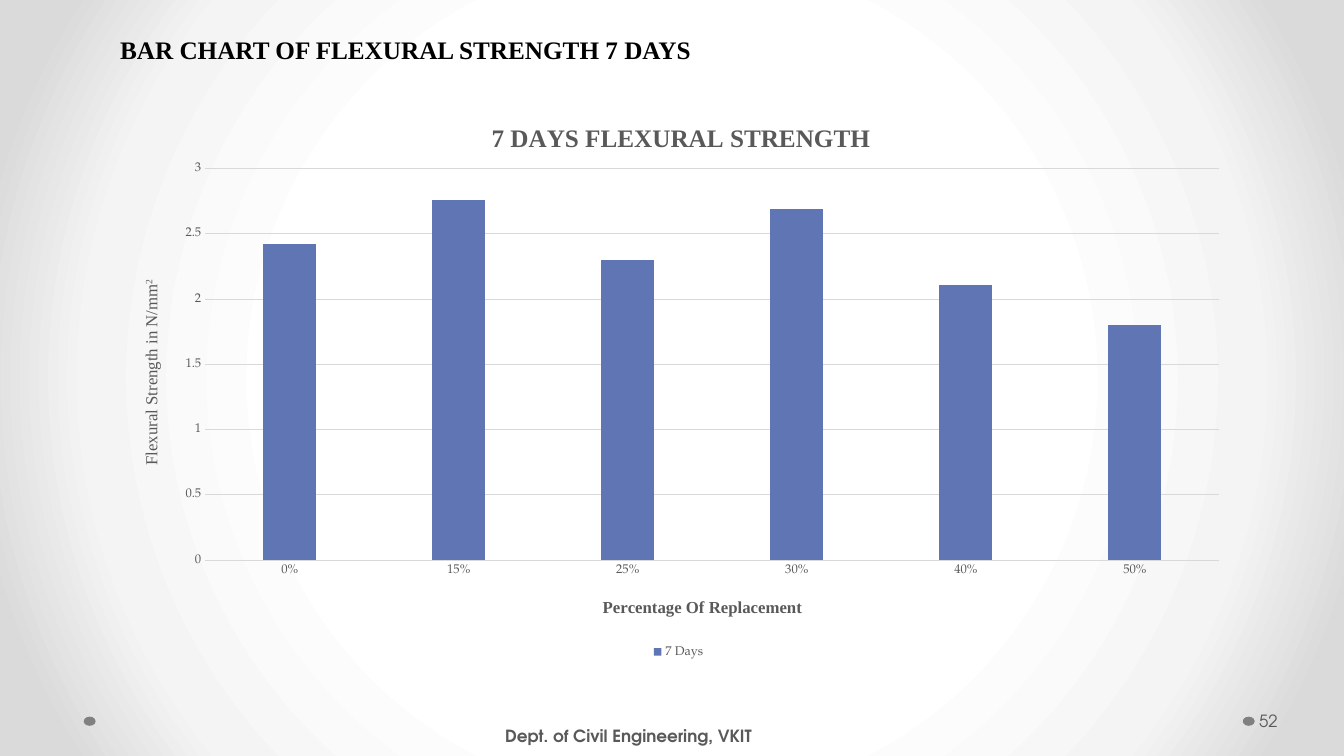
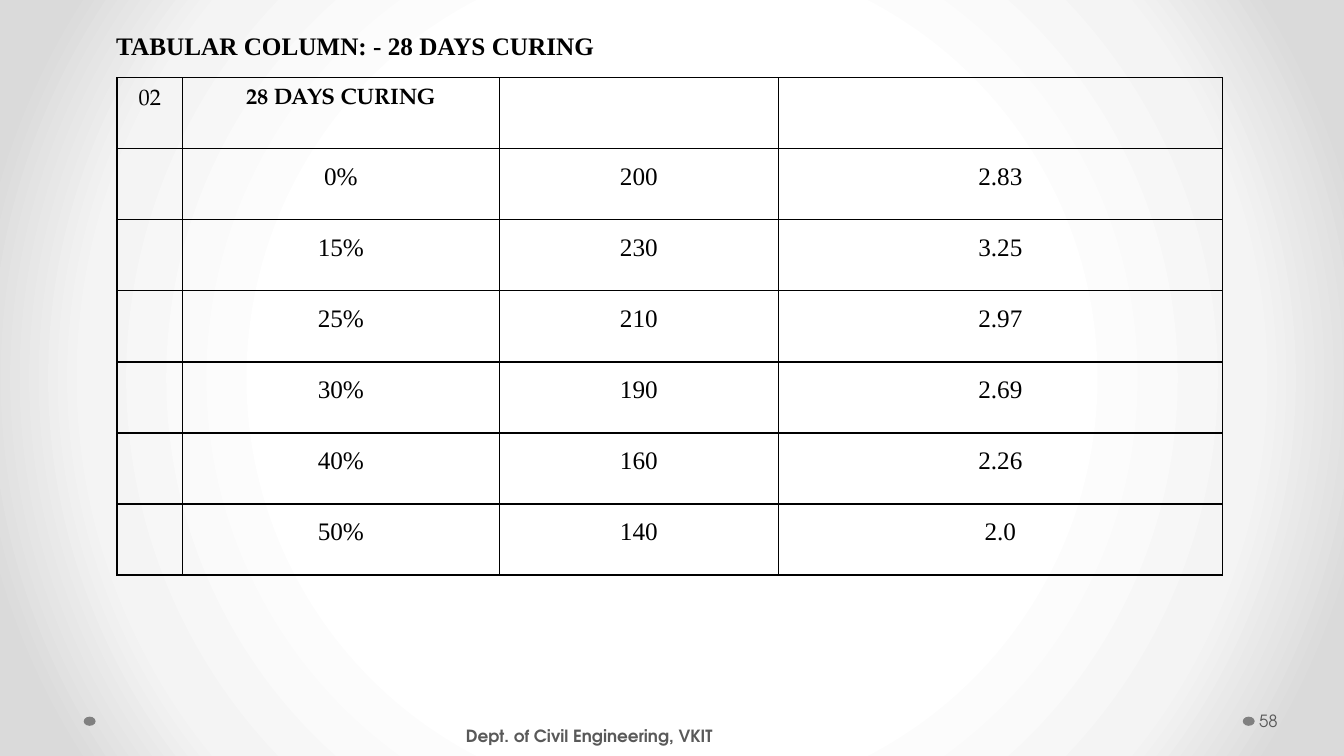
"""Build two slides on flexural strength: a bar chart and a results table."""
from dataclasses import dataclass

from lxml import etree
from pptx import Presentation
from pptx.chart.data import CategoryChartData
from pptx.dml.color import RGBColor
from pptx.enum.chart import XL_CHART_TYPE, XL_LEGEND_POSITION, XL_TICK_MARK
from pptx.enum.shapes import MSO_SHAPE
from pptx.enum.text import MSO_ANCHOR, PP_ALIGN
from pptx.oxml import parse_xml
from pptx.oxml.ns import nsdecls, qn
from pptx.util import Cm, Pt

LEFT, CENTER = PP_ALIGN.LEFT, PP_ALIGN.CENTER
TOP, MIDDLE = MSO_ANCHOR.TOP, MSO_ANCHOR.MIDDLE
COLUMN = XL_CHART_TYPE.COLUMN_CLUSTERED
LEGEND_BOTTOM = XL_LEGEND_POSITION.BOTTOM
NO_TICK = XL_TICK_MARK.NONE
ELLIPSE = MSO_SHAPE.OVAL

SERIF, PAGELLA, SANS = "Times New Roman", "TeX Gyre Pagella", "TeX Gyre Adventor"
BLACK, GREY, DOT_GREY, GRID_GREY, BLUE = "000000", "595959", "808080", "D9D9D9", "6076B4"
BACKDROP_STOPS = ((50, "FFFFFF"), (76, "F4F4F4"), (92, "DADADA"))

COLUMN_WIDTHS = (1.65, 7.98, 7.04, 11.18)
ROW_HEIGHT = 1.79
RESULTS = (
    ("0%", "200", "2.83"),
    ("15%", "230", "3.25"),
    ("25%", "210", "2.97"),
    ("30%", "190", "2.69"),
    ("40%", "160", "2.26"),
    ("50%", "140", "2.0"),
)
STRENGTHS = {0: 2.42, 0.15: 2.76, 0.25: 2.3, 0.3: 2.69, 0.4: 2.11, 0.5: 1.8}


@dataclass(frozen=True)
class Box:
    """Position, size and insets of a text box in centimetres."""

    left: float
    top: float
    width: float
    height: float
    inset_left: float = 0.25
    inset_right: float = 0.25


@dataclass(frozen=True)
class Page:
    """What differs between the slides in their shared parts."""

    title: str
    title_box: Box
    title_align: PP_ALIGN
    title_spacing: float
    footer_left: float
    number: str


CHART_PAGE = Page("BAR CHART OF FLEXURAL STRENGTH 7 DAYS", Box(1.75, 0.69, 16.94, 1.02),
                  CENTER, 1.07, 12.6, "52")
TABLE_PAGE = Page("TABULAR COLUMN: - 28 DAYS CURING", Box(0.69, 0.25, 18.92, 1.42, 2.24),
                  LEFT, 1.5, 11.61, "58")


def colour(value):
    """Turn a hex string into a colour."""
    return RGBColor.from_string(value)


def write_text(frame, text, *, size=18, font=SERIF, fill=BLACK, bold=False,
               align=None, spacing=None, superscript=False):
    """Append a formatted run to the first paragraph of a text frame."""
    paragraph = frame.paragraphs[0]
    if align is not None:
        paragraph.alignment = align
    if spacing is not None:
        paragraph.line_spacing = spacing
    run = paragraph.add_run()
    run.text = text
    run.font.size = Pt(size)
    run.font.name = font
    run.font.bold = bold
    run.font.color.rgb = colour(fill)
    if superscript:
        run.font._element.set("baseline", "30000")


def add_text_box(slide, box: Box, text: str, anchor=TOP, **text_format):
    """Add a wrapping text box."""
    shape = slide.shapes.add_textbox(Cm(box.left), Cm(box.top), Cm(box.width), Cm(box.height))
    frame = shape.text_frame
    frame.word_wrap = True
    frame.vertical_anchor = anchor
    frame.margin_left, frame.margin_right = Cm(box.inset_left), Cm(box.inset_right)
    write_text(frame, text, **text_format)


def set_backdrop(master):
    """Give the slide master a radial gradient background."""
    master.background.fill.solid()
    properties = master.element.find(".//" + qn("p:bgPr"))
    stops = "".join(f'<a:gs pos="{position * 1000}"><a:srgbClr val="{value}"/></a:gs>'
                    for position, value in BACKDROP_STOPS)
    gradient = parse_xml(
        f'<a:gradFill {nsdecls("a")} rotWithShape="1"><a:gsLst>{stops}</a:gsLst>'
        '<a:path path="circle"><a:fillToRect l="50000" t="50000" r="50000" b="50000"/>'
        '</a:path></a:gradFill>')
    properties.replace(properties[0], gradient)


def add_page(presentation, page: Page):
    """Add a slide with its dots, footer, number and title."""
    slide = presentation.slides.add_slide(presentation.slide_layouts[6])
    for left in (31.32, 2.11):
        dot = slide.shapes.add_shape(ELLIPSE, Cm(left), Cm(18.06), Cm(0.3), Cm(0.23))
        dot.shadow.inherit = False
        dot.fill.solid()
        dot.fill.fore_color.rgb = colour(DOT_GREY)
        dot.line.fill.background()
    add_text_box(slide, Box(page.footer_left, 18.03, 10.54, 1.02, 0.13),
                 "Dept. of Civil Engineering, VKIT", MIDDLE,
                 size=12, font=SANS, fill=GREY, bold=True)
    add_text_box(slide, Box(31.65, 17.65, 2.08, 1.02, 0.08, 0.13), page.number, MIDDLE,
                 size=12, font=SANS, fill=GREY)
    add_text_box(slide, page.title_box, page.title, bold=True,
                 align=page.title_align, spacing=page.title_spacing)
    return slide


def set_layout(parent, **values: float):
    """Place a chart part by fractions of the chart area."""
    for old in parent.findall(qn("c:layout")):
        parent.remove(old)
    layout = etree.Element(qn("c:layout"))
    manual = etree.SubElement(layout, qn("c:manualLayout"))
    settings = {"xMode": "edge", "yMode": "edge", **values}
    if "w" in values:
        settings = {"layoutTarget": "inner", **settings}
    for name, value in settings.items():
        etree.SubElement(manual, qn(f"c:{name}")).set("val", str(value))
    parent.insert(0 if parent.find(qn("c:tx")) is None else 1, layout)


def style_font(font, size: int):
    """Format the labels of a chart part."""
    font.size = Pt(size)
    font.name = PAGELLA
    font.color.rgb = colour(GREY)


def style_line(line_format):
    """Draw a thin grey chart line."""
    line_format.color.rgb = colour(GRID_GREY)
    line_format.width = Pt(0.75)


def add_strength_chart(slide):
    """Add the column chart of strength by replacement percentage."""
    data = CategoryChartData()
    data.categories = list(STRENGTHS)
    data.categories.number_format = "0%"
    data.add_series("7 Days", list(STRENGTHS.values()))
    chart = slide.shapes.add_chart(COLUMN, Cm(2.9), Cm(2.39), Cm(28.4), Cm(14.3), data).chart
    style_font(chart.font, 10)

    plot = chart.plots[0]
    plot.gap_width, plot.overlap = 219, -27
    plot.vary_by_categories = False
    fill = plot.series[0].format.fill
    fill.solid()
    fill.fore_color.rgb = colour(BLUE)

    category_axis, value_axis = chart.category_axis, chart.value_axis
    for axis in (category_axis, value_axis):
        axis.major_tick_mark = axis.minor_tick_mark = NO_TICK
        style_font(axis.tick_labels.font, 9)
    category_axis.tick_labels.number_format = "0%"
    category_axis.tick_labels.number_format_is_linked = False
    style_line(category_axis.format.line)
    value_axis.format.line.fill.background()
    value_axis.minimum_scale, value_axis.maximum_scale, value_axis.major_unit = 0, 3, 0.5
    style_line(value_axis.major_gridlines.format.line)

    chart.has_legend = True
    chart.legend.position = LEGEND_BOTTOM
    chart.legend.include_in_layout = False
    style_font(chart.legend.font, 9)

    chart.has_title = True
    write_text(chart.chart_title.text_frame, "7 DAYS FLEXURAL STRENGTH", fill=GREY, bold=True)
    write_text(category_axis.axis_title.text_frame, "Percentage Of Replacement",
               size=12, fill=GREY, bold=True)
    value_frame = value_axis.axis_title.text_frame
    write_text(value_frame, "Flexural Strength in N/mm", size=12, fill=GREY)
    write_text(value_frame, "2", size=12, fill=GREY, superscript=True)

    titles = list(chart.element.iter(qn("c:title")))
    positions = ((0.33, 0.04), (0.43, 0.88), (0.02, 0.32))
    for title, (x, y) in zip(titles, positions):
        set_layout(title, x=x, y=y)
    titles[-1].find(".//" + qn("a:bodyPr")).set("rot", "-5400000")
    plot_area = next(chart.element.iter(qn("c:plotArea")))
    set_layout(plot_area, x=0.08, y=0.13, w=0.9, h=0.69)


def set_borders(cell):
    """Draw a black one-point border on every side of a cell."""
    properties = cell._tc.get_or_add_tcPr()
    for index, side in enumerate(("lnL", "lnR", "lnT", "lnB")):
        properties.insert(index, parse_xml(
            f'<a:{side} {nsdecls("a")} w="12700"><a:solidFill>'
            f'<a:srgbClr val="{BLACK}"/></a:solidFill></a:{side}>'))


def add_results_table(slide):
    """Add the table of curing results."""
    rows = [("02", "28 DAYS CURING", "", "")] + [("", *result) for result in RESULTS]
    table = slide.shapes.add_table(
        len(rows), len(COLUMN_WIDTHS), Cm(2.95), Cm(1.96),
        Cm(sum(COLUMN_WIDTHS)), Cm(ROW_HEIGHT * len(rows))).table
    table.first_row = table.horz_banding = False
    for column, width in zip(table.columns, COLUMN_WIDTHS):
        column.width = Cm(width)
    for row_index, values in enumerate(rows):
        table.rows[row_index].height = Cm(ROW_HEIGHT)
        heading = row_index == 0
        for column_index, text in enumerate(values):
            cell = table.cell(row_index, column_index)
            cell.margin_left = cell.margin_right = Cm(0.18)
            cell.margin_top = cell.margin_bottom = Cm(0)
            cell.fill.background()
            set_borders(cell)
            if text:
                write_text(cell.text_frame, text, align=CENTER, spacing=1.5,
                           size=16 if heading else 18, font=PAGELLA if heading else SERIF,
                           bold=heading and column_index == 1)


def main():
    """Build and save the presentation."""
    presentation = Presentation()
    presentation.slide_width, presentation.slide_height = Cm(33.87), Cm(19.05)
    set_backdrop(presentation.slide_master)
    add_strength_chart(add_page(presentation, CHART_PAGE))
    add_results_table(add_page(presentation, TABLE_PAGE))
    presentation.save("out.pptx")


if __name__ == "__main__":
    main()
